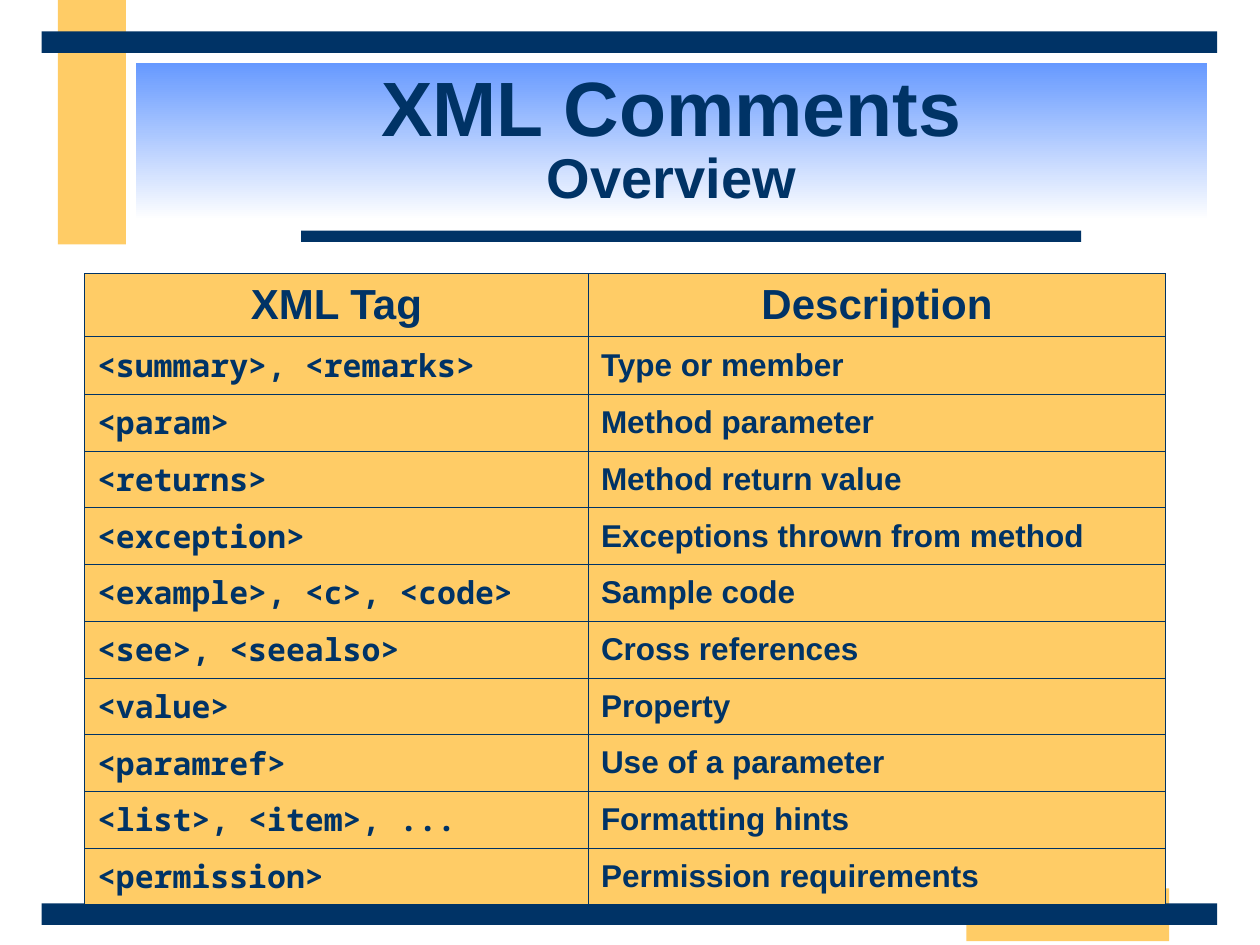
from typing import NamedTuple

from lxml.etree import SubElement as Sub
from pptx import Presentation
from pptx.dml.color import RGBColor as Rgb
from pptx.enum.shapes import MSO_SHAPE as Kind
from pptx.enum.text import MSO_ANCHOR as Anchor, PP_ALIGN as Align
from pptx.oxml.ns import qn
from pptx.util import Inches, Pt

COLORS = {"navy": "003366", "gold": "FFCC66", "blue": "6699FF", "white": "FFFFFF"}
SANS, MONO = "Arial", "Noto Sans Mono"


class Bar(NamedTuple):
    left: float
    top: float
    width: float
    height: float
    color: str


class Entry(NamedTuple):
    tag: str
    text: str


BARS = [
    Bar(0.46, 0, 0.54, 1.94, "gold"),
    Bar(7.67, 7.05, 1.61, 0.42, "gold"),
    Bar(2.39, 1.83, 6.19, 0.09, "navy"),
    Bar(0.33, 7.17, 9.33, 0.17, "navy"),
    Bar(0.33, 0.25, 9.33, 0.17, "navy"),
]
TITLE = Bar(1.08, 0.5, 8.5, 1.25, "blue")
HEAD = Entry("XML Tag", "Description")
ROWS = [
    Entry("<summary>, <remarks>", "Type or member"),
    Entry("<param>", "Method parameter"),
    Entry("<returns>", "Method return value"),
    Entry("<exception>", "Exceptions thrown from method"),
    Entry("<example>, <c>, <code>", "Sample code"),
    Entry("<see>, <seealso>", "Cross references"),
    Entry("<value>", "Property"),
    Entry("<paramref>", "Use of a parameter"),
    Entry("<list>, <item>, ...", "Formatting hints"),
    Entry("<permission>", "Permission requirements"),
]
COLS = [4, 4.58]
HEIGHTS = [0.5, 0.46] + [0.45] * (len(ROWS) - 1)


def rgb(name: str) -> Rgb:
    return Rgb.from_string(COLORS[name])


def style(run, size: float, font: str = SANS) -> None:
    run.font.name = font
    run.font.size = Pt(size)
    run.font.bold = True
    run.font.color.rgb = rgb("navy")


def add_bar(slide, bar: Bar):
    shape = slide.shapes.add_shape(Kind.RECTANGLE, *map(Inches, bar[:4]))
    shape.shadow.inherit = False
    shape.line.fill.background()
    shape.fill.solid()
    shape.fill.fore_color.rgb = rgb(bar.color)
    return shape


def add_title(slide) -> None:
    shape = add_bar(slide, TITLE)
    shape.fill.gradient()
    shape.fill.gradient_angle = 270
    for stop, name in zip(shape.fill.gradient_stops, ("blue", "white")):
        stop.color.rgb = rgb(name)
        stop.position = 0 if name == "blue" else 1
    frame = shape.text_frame
    frame.word_wrap = True
    frame.vertical_anchor = Anchor.MIDDLE
    para = frame.paragraphs[0]
    para.text = "XML Comments\vOverview"
    para.alignment = Align.CENTER
    para.line_spacing = 0.85
    for run, size in zip(para.runs, (44, 32)):
        style(run, size)


def add_edges(cell) -> None:
    props = cell._tc.get_or_add_tcPr()
    for side in ("lnL", "lnR", "lnT", "lnB"):
        line = Sub(props, qn(f"a:{side}"), w=str(Pt(0.45)))
        fill = Sub(line, qn("a:solidFill"))
        Sub(fill, qn("a:srgbClr"), val=COLORS["navy"])


def fill_cell(cell, text: str, size: float, font: str, align) -> None:
    add_edges(cell)
    cell.fill.solid()
    cell.fill.fore_color.rgb = rgb("gold")
    cell.vertical_anchor = Anchor.MIDDLE
    para = cell.text_frame.paragraphs[0]
    para.text = text
    para.alignment = align
    style(para.runs[0], size, font)


def add_grid(slide) -> None:
    area = map(Inches, (0.67, 2.17, sum(COLS), sum(HEIGHTS)))
    table = slide.shapes.add_table(len(HEIGHTS), len(COLS), *area).table
    table.first_row = table.horz_banding = False
    for col, width in zip(table.columns, COLS):
        col.width = Inches(width)
    for row, height in zip(table.rows, HEIGHTS):
        row.height = Inches(height)
    for c, text in enumerate(HEAD):
        fill_cell(table.cell(0, c), text, 24, SANS, Align.CENTER)
    for r, entry in enumerate(ROWS, 1):
        for c, (text, font) in enumerate(zip(entry, (MONO, SANS))):
            fill_cell(table.cell(r, c), text, 18, font, Align.LEFT)


def main() -> None:
    deck = Presentation()
    deck.slide_width, deck.slide_height = Inches(10), Inches(7.5)
    slide = deck.slides.add_slide(deck.slide_layouts[6])
    # Frame bars
    for bar in BARS:
        add_bar(slide, bar)
    # Title and tag table
    add_title(slide)
    add_grid(slide)
    deck.save("out.pptx")


if __name__ == "__main__":
    main()
